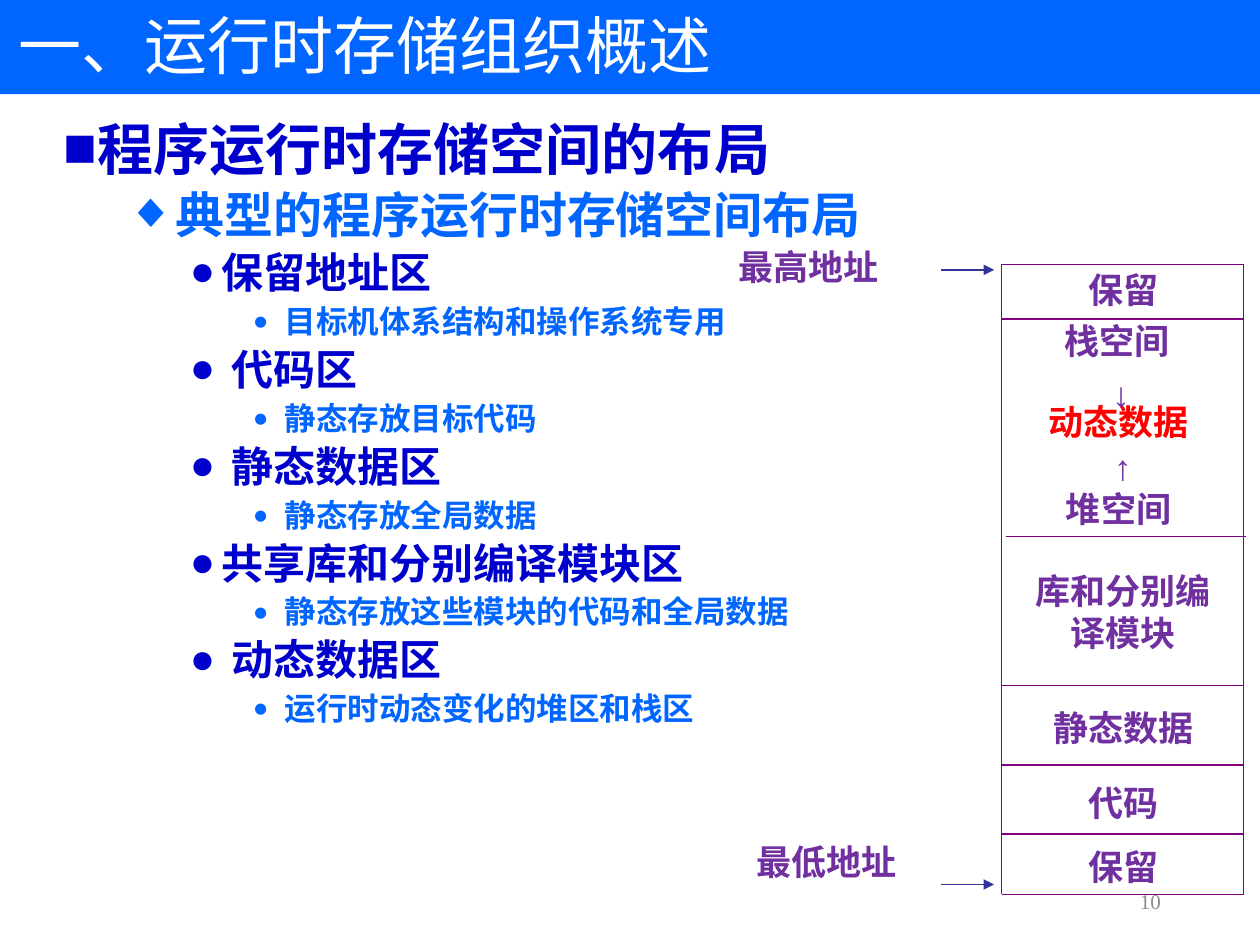
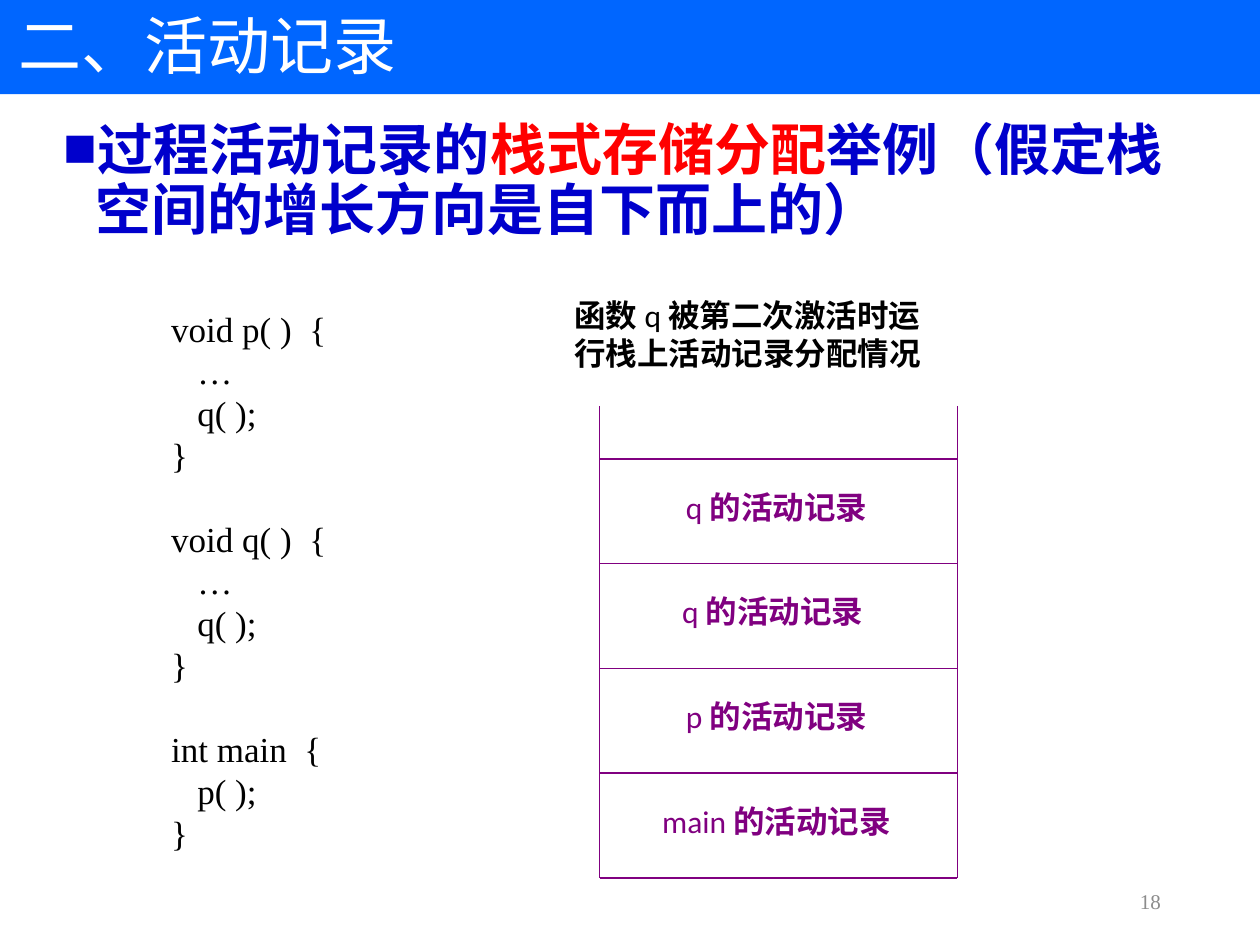
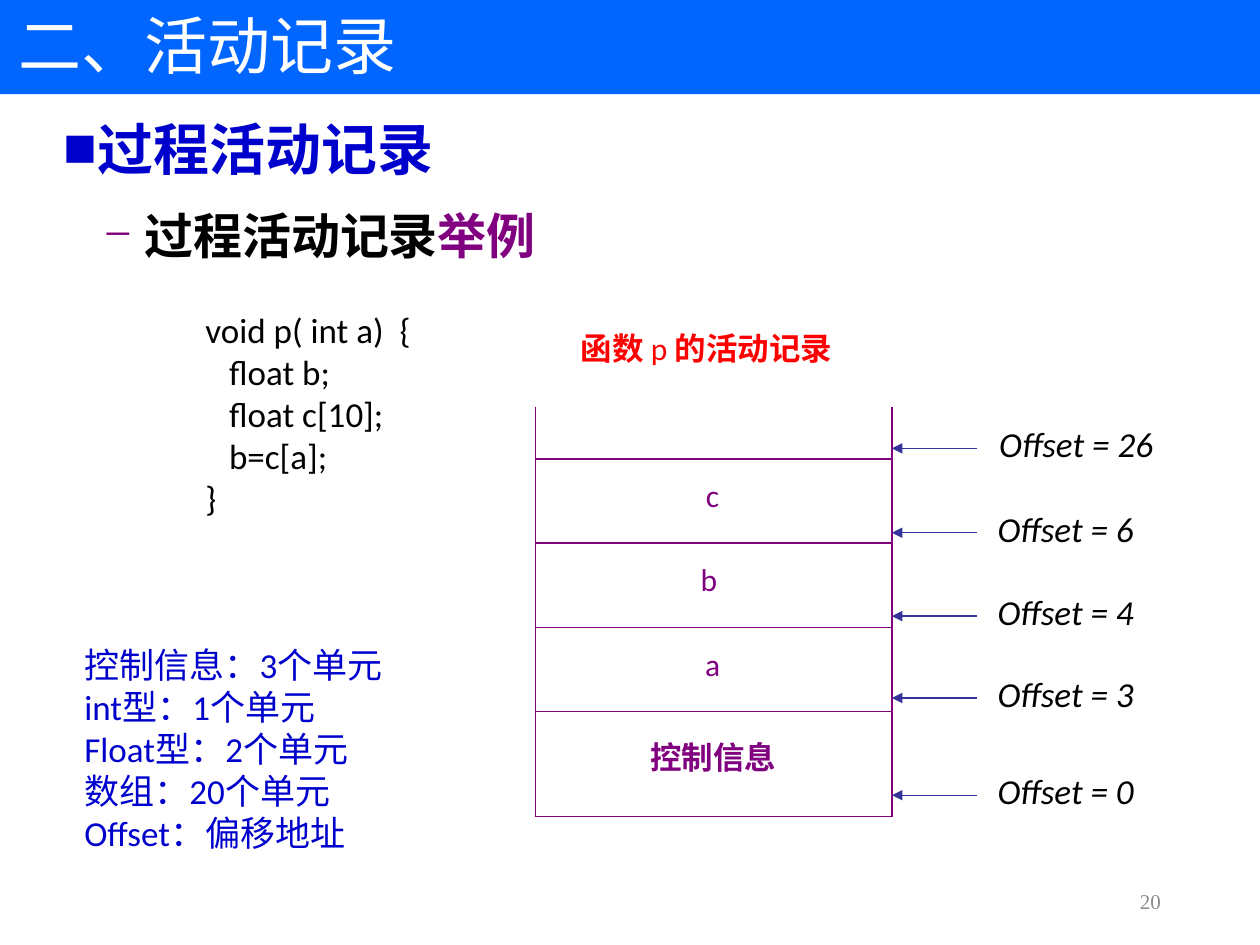
from dataclasses import dataclass, replace

from lxml.etree import SubElement
from pptx import Presentation
from pptx.dml.color import RGBColor
from pptx.enum.shapes import MSO_CONNECTOR, MSO_SHAPE
from pptx.enum.text import MSO_ANCHOR, PP_ALIGN
from pptx.oxml.ns import qn
from pptx.util import Cm, Pt


@dataclass(frozen=True)
class Style:
    size: int
    color: str
    font: str = "Times New Roman"
    bold: bool = False
    italic: bool = False


@dataclass(frozen=True)
class Level:
    style: Style
    bullet: str
    indent: float
    space_before: int


class Theme:
    band = "0066FF"
    frame = "800080"
    arrow = "333399"
    red = "FF0000"
    east_asian_font = "Noto Sans CJK SC"
    leading = 1.2
    tight_leading = 1.08
    line_width = 0.75

    title = Style(36, "FFFFFF")
    page_number = Style(12, "8C8C8C")
    heading = Style(32, "0000CC", bold=True)
    item = Style(28, "000000", bold=True)
    label = Style(20, "7030A0", bold=True)
    cell = Style(18, frame, "Calibri")
    cell_bold = replace(cell, bold=True)
    caption = Style(18, "000000", bold=True)
    caption_name = Style(18, "000000", "Calibri")
    code = Style(20, "000000")
    offset = Style(20, "000000", "Calibri", italic=True)
    facts = Style(20, "0000CC", "Calibri")

    levels = (
        Level(heading, "■", 0.64, 10),
        Level(Style(28, band, bold=True), "◆", 1.91, 5),
        Level(Style(24, "0000CC", bold=True), "●", 3.18, 5),
        Level(Style(18, band, "Calibri", bold=True), "•", 4.45, 5),
    )
    hanging = 0.64


class SlideBuilder:
    def __init__(self, deck, theme):
        self.deck = deck
        self.theme = theme
        self.slide = None

    def new_slide(self, title, number):
        self.slide = self.deck.slides.add_slide(self.deck.slide_layouts[6])
        band = self.slide.shapes.add_shape(
            MSO_SHAPE.RECTANGLE, 0, Cm(-0.18), self.deck.slide_width, Cm(2.08))
        band.shadow.inherit = False
        band.fill.solid()
        band.fill.fore_color.rgb = RGBColor.from_string(self.theme.band)
        band.line.fill.background()
        self.text((0.13, 0.3, 21.89, 1.32), [title], self.theme.title,
                  anchor=MSO_ANCHOR.MIDDLE, leading=self.theme.tight_leading)
        self.text((17.93, 17.65, 5.72, 1.02), [str(number)], self.theme.page_number,
                  PP_ALIGN.RIGHT, MSO_ANCHOR.MIDDLE)

    def frame(self, area, anchor=MSO_ANCHOR.TOP):
        box = self.slide.shapes.add_textbox(*map(Cm, area))
        box.text_frame.word_wrap = True
        box.text_frame.vertical_anchor = anchor
        return box.text_frame

    def format_span(self, span, style):
        font = span.font
        font.size, font.name = Pt(style.size), style.font
        font.bold, font.italic = style.bold, style.italic
        font.color.rgb = RGBColor.from_string(style.color)
        SubElement(font._element, qn("a:ea"), typeface=self.theme.east_asian_font)

    def fill_paragraph(self, para, content, style, leading):
        """Content is a string, or a list of (text, style) pairs."""
        para.line_spacing = Pt(round(style.size * leading, 2))
        if isinstance(content, str):
            para.text = content
            for span in para.runs:
                self.format_span(span, style)
            return
        for words, span_style in content:
            span = para.add_run()
            span.text = words
            self.format_span(span, span_style)

    def text(self, area, lines, style, align=PP_ALIGN.LEFT, anchor=MSO_ANCHOR.TOP,
             leading=None, gaps=None):
        """Gaps maps a line's index to the points of space before it."""
        text_frame = self.frame(area, anchor)
        for index, content in enumerate(lines):
            para = text_frame.add_paragraph() if index else text_frame.paragraphs[0]
            para.alignment = align
            if gaps and index in gaps:
                para.space_before = Pt(gaps[index])
            self.fill_paragraph(para, content, style, leading or self.theme.leading)
        return text_frame

    def centred(self, area, lines, style, gaps=None):
        self.text(area, lines, style, PP_ALIGN.CENTER, gaps=gaps)

    def bullet(self, para, sign, style, indent, hanging):
        properties = para._p.get_or_add_pPr()
        properties.set("marL", str(Cm(indent)))
        properties.set("indent", str(-Cm(hanging)))
        color = SubElement(properties, qn("a:buClr"))
        SubElement(color, qn("a:srgbClr"), val=style.color)
        SubElement(properties, qn("a:buFont"), typeface=style.font)
        SubElement(properties, qn("a:buChar"), char=sign)

    def outline(self, entries):
        """Entries are (level, content) pairs."""
        text_frame = self.frame((1.04, 2.31, 23.22, 15.44))
        for index, (depth, content) in enumerate(entries):
            level = self.theme.levels[depth]
            para = text_frame.add_paragraph() if index else text_frame.paragraphs[0]
            para.level = depth
            if index:
                para.space_before = Pt(level.space_before)
            self.fill_paragraph(para, content, level.style, self.theme.tight_leading)
            self.bullet(para, level.bullet, level.style, level.indent, self.theme.hanging)

    def line(self, start, end, color=None, arrow=False):
        connector = self.slide.shapes.add_connector(
            MSO_CONNECTOR.STRAIGHT, *map(Cm, (*start, *end)))
        connector.line.width = Pt(self.theme.line_width)
        connector.line.color.rgb = RGBColor.from_string(color or self.theme.frame)
        if arrow:
            SubElement(connector.line._get_or_add_ln(), qn("a:tailEnd"), type="triangle")
        SubElement(connector._element.spPr, qn("a:effectLst"))

    def arrow(self, start, end):
        self.line(start, end, self.theme.arrow, arrow=True)

    def memory(self, left, right, top, bottom, rows):
        """Two rails from top to bottom, with a rule at each row and at the bottom."""
        for x in (left, right):
            self.line((x, top), (x, bottom))
        for y in (*rows, bottom):
            self.line((left, y), (right, y))


def layout_slide(page):
    theme = page.theme
    page.new_slide("一、运行时存储组织概述", 10)
    page.outline([
        (0, "程序运行时存储空间的布局"),
        (1, "典型的程序运行时存储空间布局"),
        (2, "保留地址区"),
        (3, "目标机体系结构和操作系统专用"),
        (2, " 代码区"),
        (3, "静态存放目标代码"),
        (2, " 静态数据区"),
        (3, "静态存放全局数据"),
        (2, "共享库和分别编译模块区"),
        (3, "静态存放这些模块的代码和全局数据"),
        (2, " 动态数据区"),
        (3, "运行时动态变化的堆区和栈区"),
    ])
    page.memory(20.19, 25.07, 5.33, 18.03, (5.33, 6.43, 13.82, 15.42, 16.81))
    page.line((20.27, 10.82), (25.12, 10.82))
    for name, top, height in (("保留", 5.28, 1.09), ("库和分别编译模块", 11.35, 1.96),
                              ("静态数据", 14.12, 1.09), ("代码", 15.62, 1.09),
                              ("保留", 16.92, 1.09)):
        page.centred((20.42, top, 4.45, height), [name], theme.label)
    page.centred((20.19, 6.32, 4.65, 2.18), ["栈空间", " ↓"], theme.label, gaps={1: 6})
    page.centred((20.24, 8.86, 4.62, 1.96), [" ↑", "堆空间"], theme.label)
    page.centred((20.32, 7.95, 4.45, 1.09), ["动态数据"],
                 replace(theme.label, color=theme.red))
    for name, left, top, width, arrow_y in (("最高地址", 13.36, 4.83, 5.89, 5.44),
                                            ("最低地址", 13.87, 16.81, 5.59, 17.83)):
        page.centred((left, top, width, 1.09), [name], theme.label)
        page.arrow((18.97, arrow_y), (20.04, arrow_y))


def stack_slide(page):
    theme = page.theme
    page.new_slide("二、活动记录", 18)
    page.outline([(0, [
        ("过程活动记录的", theme.heading),
        ("栈式存储分配", replace(theme.heading, color=theme.red)),
        ("举例（假定栈空间的增长方向是自下而上的）", theme.heading),
    ])])
    page.text((3.2, 6.07, 5.72, 11.25), [
        "void p( )  {", "   …", "   q( );", "}",
        "void q( )  {", "   …", "   q( );", "}",
        "int main  {", "   p( );", "}",
    ], theme.code, gaps={4: 24, 8: 24})
    page.text((11.33, 5.84, 10.03, 2.31), [
        [("函数 ", theme.caption), ("q ", theme.caption_name),
         ("被第二次激活时运", theme.caption)],
        "行栈上活动记录分配情况",
    ], theme.caption)
    rows = [9.25 + 2.11 * index for index in range(4)]
    page.memory(12.09, 19.3, 8.18, 17.7, rows)
    records = (("q ", 12.24), ("q ", 12.09), ("p ", 12.24), ("main ", 12.24))
    for (name, left), row in zip(records, rows):
        page.centred((left, row + 0.46, 19.07 - left, 1.27),
                     [[(name, theme.cell), ("的活动记录", theme.cell_bold)]], theme.cell)


def record_slide(page):
    theme = page.theme
    page.new_slide("二、活动记录", 20)
    page.outline([(0, "过程活动记录")])
    purple_item = replace(theme.item, color=theme.frame)
    item = page.text((1.85, 4.01, 16.81, 1.45),
                     [[("过程活动记录", theme.item), ("举例", purple_item)]], theme.item)
    page.bullet(item.paragraphs[0], "−", purple_item, 0.81, 0.81)
    page.text((3.89, 6.1, 6.35, 4.5), [
        "void p( int a)  {", "   float b;", "   float c[10];", "   b=c[a];", "}",
    ], replace(theme.code, font="Calibri"))
    page.text((1.45, 12.85, 8.15, 5.38), [
        "控制信息：3个单元", "int型：1个单元", "Float型：2个单元",
        "数组：20个单元", "Offset：偏移地址",
    ], theme.facts)
    red_caption = replace(theme.caption, color=theme.red)
    page.text((11.46, 6.5, 5.69, 1.02), [[
        ("函数 ", red_caption),
        ("p ", replace(theme.caption_name, color=theme.red)),
        ("的活动记录", red_caption),
    ]], red_caption)
    rail = 17.98
    rows = [9.25 + 1.7 * index for index in range(4)]
    page.memory(10.8, rail, 8.2, 16.46, rows)
    for (name, left), row in zip((("c", 10.95), ("b", 10.8), ("a", 10.95)), rows):
        page.centred((left, row + 0.22, 17.78 - left, 1.27), [name], theme.cell)
    page.centred((12.42, 14.76, 3.91, 1.27), ["控制信息"], theme.cell_bold)
    for value, left, y in ((26, 19.69, 9.04), (6, 19.48, 10.74), (4, 19.48, 12.42),
                           (3, 19.48, 14.07), (0, 19.48, 16.03)):
        page.centred((left, y - 0.64, 4.01, 1.09), [f"Offset = {value}"], theme.offset)
        page.arrow((19.69, y), (rail, y))


def main():
    deck = Presentation()
    deck.slide_width, deck.slide_height = Cm(25.4), Cm(19.05)
    page = SlideBuilder(deck, Theme())
    layout_slide(page)
    stack_slide(page)
    record_slide(page)
    deck.save("out.pptx")


if __name__ == "__main__":
    main()
